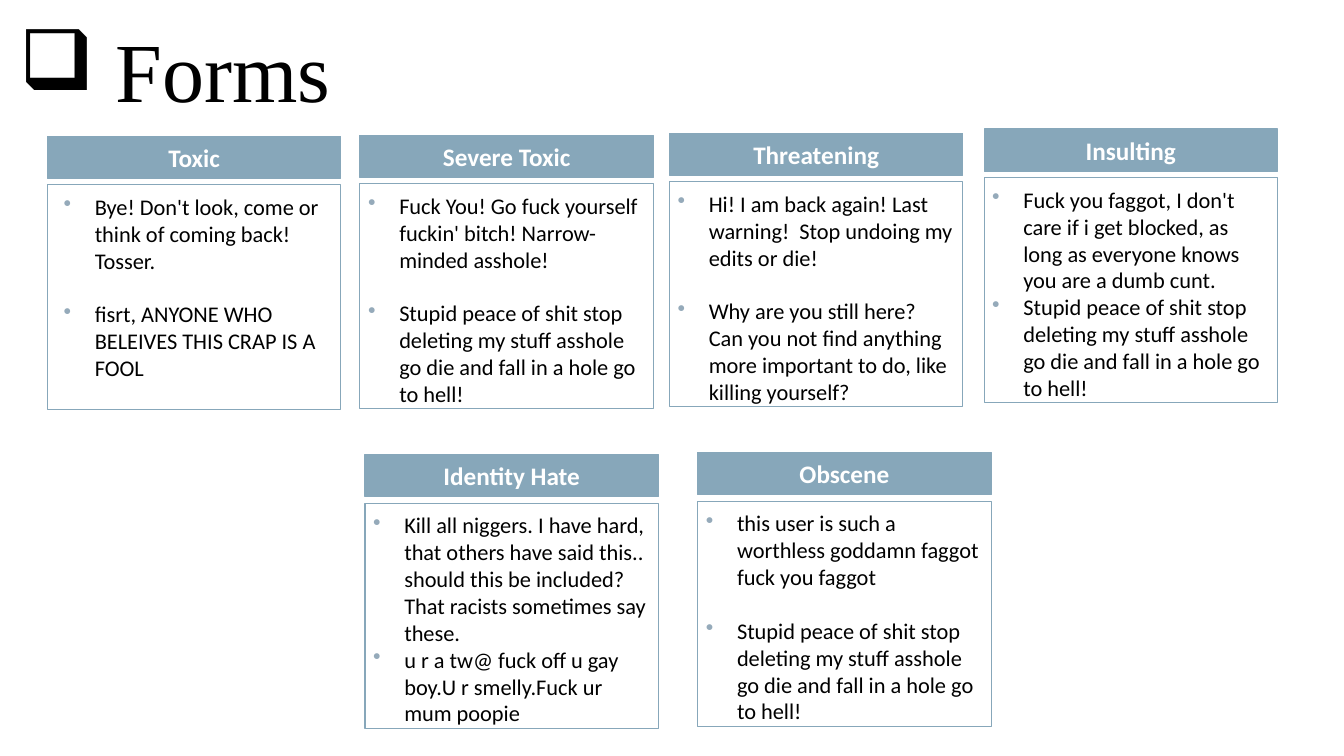
from lxml.etree import SubElement
from pptx import Presentation
from pptx.dml.color import RGBColor
from pptx.enum.shapes import MSO_SHAPE as Shape
from pptx.enum.text import MSO_ANCHOR as Anchor, PP_ALIGN as Align
from pptx.oxml.ns import qn
from pptx.util import Inches, Pt

BLUE = "87A7BA"
CARD_WIDTH, HEADER_HEIGHT, BODY_HEIGHT = 2.91, 0.42, 2.23
BODY_OFFSET = 0.485
INSET = 0.08
LINE_GAP = 19.2
HELL = ("Stupid peace of shit stop deleting my stuff asshole "
        "go die and fall in a hole go to hell!")


def color(value):
    return RGBColor.from_string(value)


def write(para, text, size=16, font="Calibri", ink="000000", bold=False,
          bullet=None, bullet_color=None, indent=0.31, align=None, before=0):
    """Fill a paragraph with one formatted run and an optional hanging bullet."""
    para.alignment = align
    para.space_before = Pt(before)
    span = para.add_run()
    span.text = text
    span.font.size = Pt(size)
    span.font.name = font
    span.font.bold = bold
    span.font.color.rgb = color(ink)
    if bullet:
        props = para._p.get_or_add_pPr()
        props.set("marL", str(Inches(indent)))
        props.set("indent", str(-Inches(indent)))
        if bullet_color:
            fill = SubElement(props, qn("a:buClr"))
            SubElement(fill, qn("a:srgbClr")).set("val", bullet_color)
        SubElement(props, qn("a:buChar")).set("char", bullet)


# name, left, top, left inset, gap between comments, comments
cards = [
    ("Toxic", 0.47, 1.35, 0.16, LINE_GAP,
     ["Bye! Don't look, come or think of coming back! Tosser.",
      "fisrt, ANYONE WHO BELEIVES THIS CRAP IS A FOOL"]),
    ("Severe Toxic", 3.57, 1.34, INSET, LINE_GAP,
     ["Fuck You! Go fuck yourself fuckin' bitch! Narrow-minded asshole!",
      HELL]),
    ("Threatening", 6.64, 1.32, INSET, LINE_GAP,
     ["Hi! I am back again! Last warning!  Stop undoing my edits or die!",
      "Why are you still here? Can you not find anything more important "
      "to do, like killing yourself?"]),
    ("Insulting", 9.76, 1.28, INSET, 0,
     ["Fuck you faggot, I don't care if i get blocked, as long as everyone "
      "knows you are a dumb cunt.",
      HELL]),
    ("Identity Hate", 3.62, 4.51, INSET, 0,
     ["Kill all niggers. I have hard, that others have said this.. should "
      "this be included? That racists sometimes say these.",
      "u r a tw@ fuck off u gay boy.U r smelly.Fuck ur mum poopie"]),
    ("Obscene", 6.92, 4.49, INSET, LINE_GAP,
     ["this user is such a worthless goddamn faggot fuck you faggot",
      HELL]),
]

deck = Presentation()
deck.slide_width = Inches(13.33)
deck.slide_height = Inches(7.5)
page = deck.slides.add_slide(deck.slide_layouts[6])

title = page.shapes.add_textbox(Inches(0.1), Inches(0.02), Inches(11.5), Inches(1.45))
title.text_frame.word_wrap = True
title.text_frame.vertical_anchor = Anchor.MIDDLE
heading = title.text_frame.paragraphs[0]
heading.line_spacing = 0.9
write(heading, " Forms", size=60, font="Times New Roman", bullet="❑", indent=0.62)

for name, left, top, left_inset, gap, comments in cards:
    header = page.shapes.add_shape(Shape.RECTANGLE, Inches(left), Inches(top),
                                   Inches(CARD_WIDTH), Inches(HEADER_HEIGHT))
    body = page.shapes.add_shape(Shape.RECTANGLE, Inches(left), Inches(top + BODY_OFFSET),
                                 Inches(CARD_WIDTH), Inches(BODY_HEIGHT))
    for box in (header, body):
        box.shadow.inherit = False
        box.line.color.rgb = color(BLUE)
        box.line.width = Pt(0.75)
        frame = box.text_frame
        frame.word_wrap = True
        frame.margin_left = frame.margin_right = Inches(INSET)
        frame.margin_top = frame.margin_bottom = Inches(INSET)

    header.fill.solid()
    header.fill.fore_color.rgb = color(BLUE)
    header.text_frame.vertical_anchor = Anchor.MIDDLE
    write(header.text_frame.paragraphs[0], name, size=18, ink="FFFFFF",
          bold=True, align=Align.CENTER)

    body.fill.background()
    frame = body.text_frame
    frame.margin_left = Inches(left_inset)
    frame.vertical_anchor = Anchor.TOP
    for number, comment in enumerate(comments):
        para = frame.add_paragraph() if number else frame.paragraphs[0]
        write(para, comment, bullet="•", bullet_color="95AABA",
              align=Align.LEFT, before=gap if number else 0)

deck.save("out.pptx")
